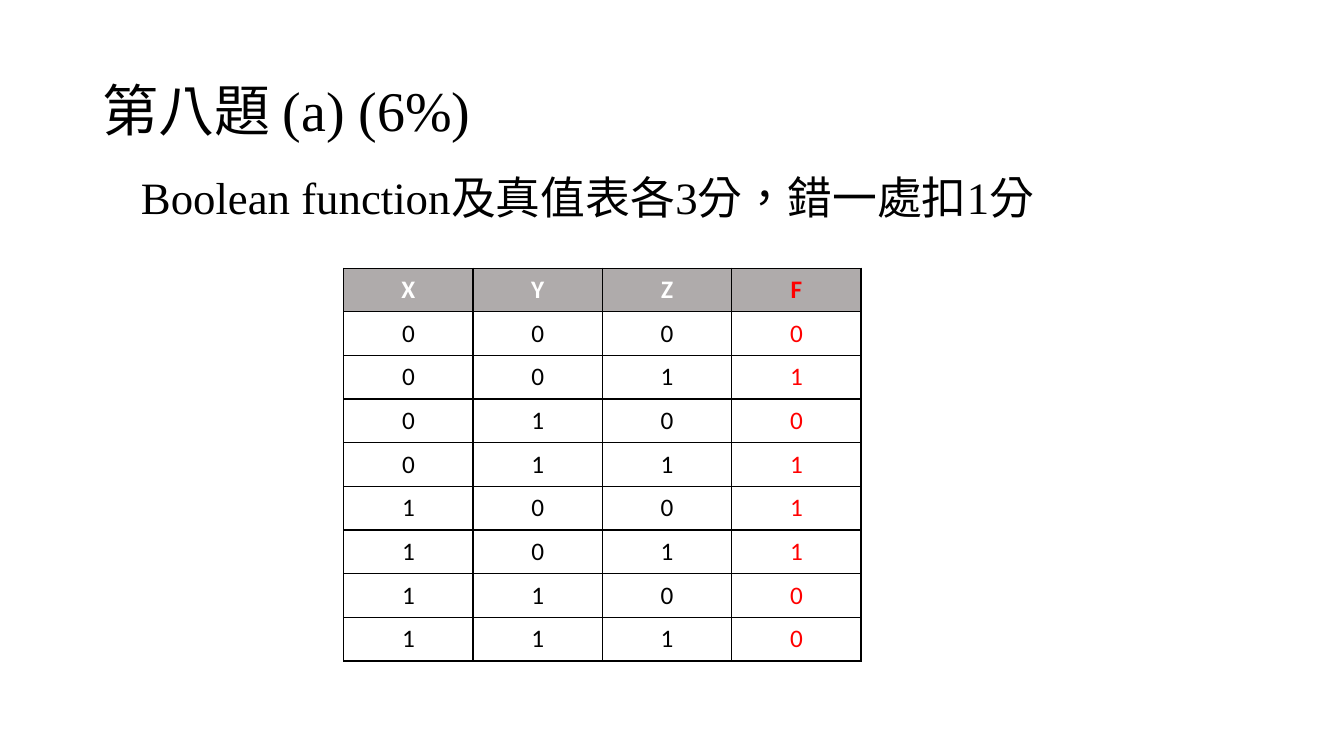
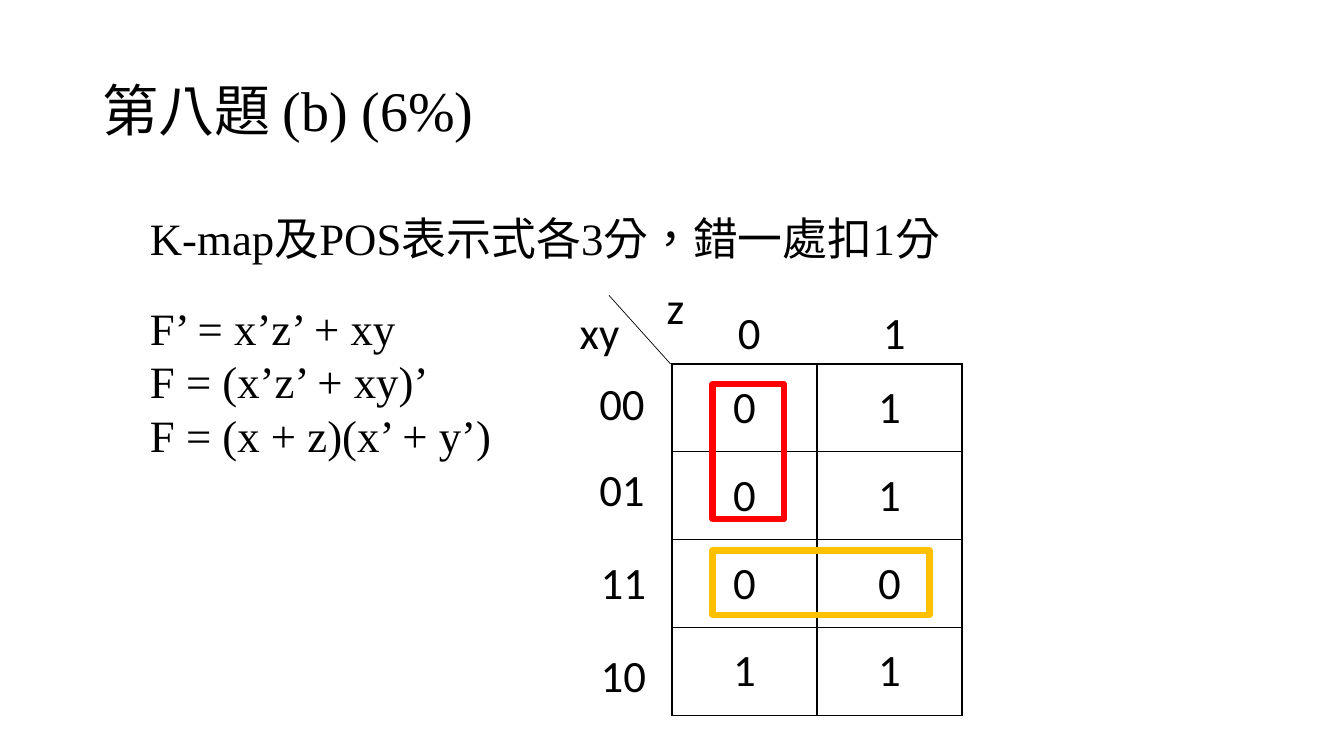
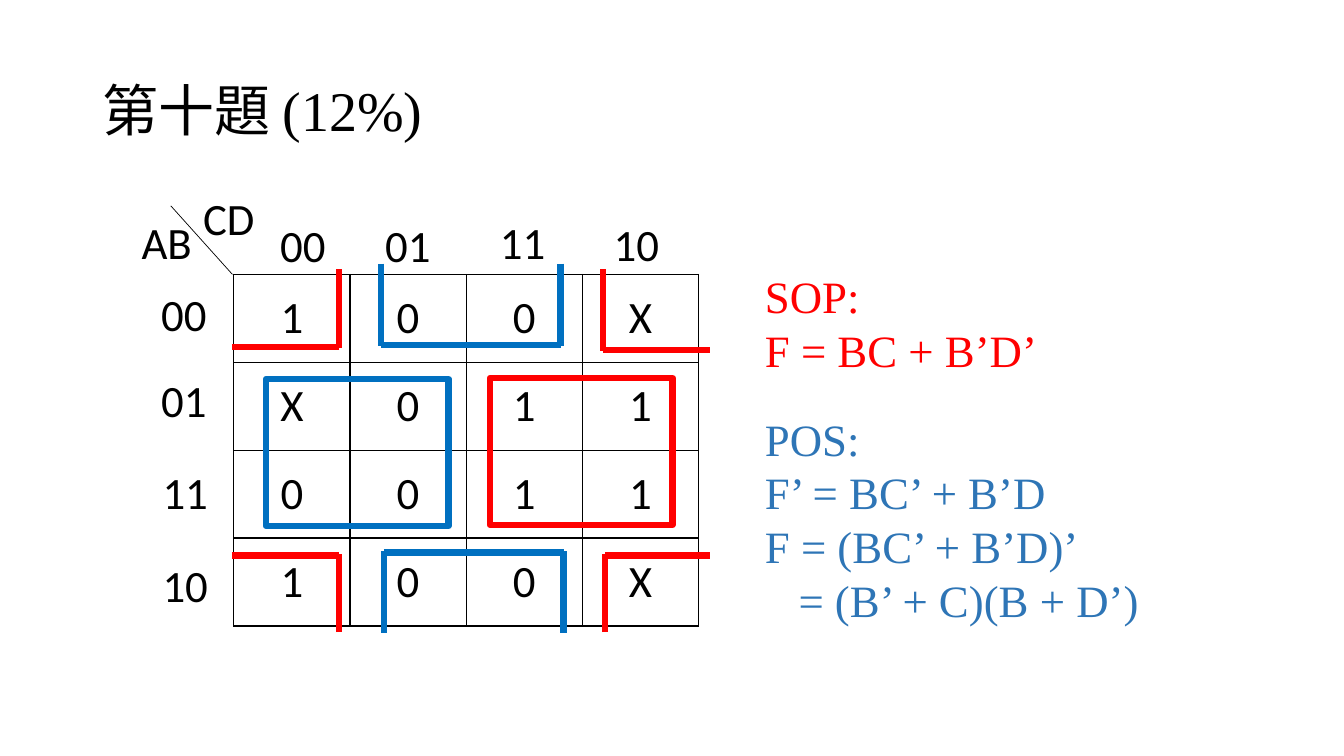
from dataclasses import dataclass

from lxml.etree import SubElement
from pptx import Presentation
from pptx.dml.color import RGBColor
from pptx.enum.shapes import MSO_CONNECTOR, MSO_SHAPE
from pptx.enum.text import MSO_ANCHOR, PP_ALIGN
from pptx.oxml.ns import qn
from pptx.util import Pt


@dataclass(frozen=True)
class Theme:
    black: str = "000000"
    white: str = "FFFFFF"
    grey: str = "AFABAB"
    red: str = "FF0000"
    gold: str = "FFC000"
    blue: str = "0070C0"
    steel: str = "2E75B6"
    serif: str = "Times New Roman"
    sans: str = "Calibri"
    cjk: str = "Noto Sans CJK SC"
    title: int = 40
    body: int = 32
    cell: int = 18
    hairline: float = 0.5
    border: float = 1
    loop: float = 4.5


T = Theme()

TITLES = [("第八題 ", "(a) (6%)"), ("第八題 ", "(b) (6%)"), ("第十題 ", "(12%)")]

TRUTH_HEADER = "XYZF"
TRUTH_OUTPUT = "01011100"
TRUTH_ROWS = [TRUTH_HEADER] + [f"{i:03b}{f}" for i, f in enumerate(TRUTH_OUTPUT)]

NOTES = [
    [(93.6, 117.4, 672.5, ["Boolean function及真值表各3分，錯一處扣1分"], T.black)],
    [
        (100, 147, 672.5, ["K-map及POS表示式各3分，錯一處扣1分"], T.black),
        (100, 211, 672.5, ["F’ = x’z’ + xy", "F = (x’z’ + xy)’", "F = (x + z)(x’ + y’)"], T.black),
    ],
    [
        (539.3, 188.6, 281.5, ["SOP:", "F = BC + B’D’"], T.red),
        (539.3, 290.2, 281.5, ["POS:", "F’ = BC’ + B’D", "F = (BC’ + B’D)’", "= (B’ + C)(B + D’)"], T.steel),
    ],
]

ROW_LABELS = [("00", -59, 5), ("01", -59, 66.5), ("11", -58, 132.5), ("10", -58, 199)]
KMAP_ROW = 62.8
KMAPS = {
    1: dict(
        at=(480, 260), col=103.6, rows=["01", "01", "00", "11"],
        labels=[("xy", -73, -46), ("z", -11, -63.5), ("0", 40, -46), ("1", 143.5, -46)],
        loops=[(509, 274.3, 51, 96.5, T.red), (509, 393.1, 155, 46, T.gold)],
        brackets=[],
    ),
    2: dict(
        at=(167, 196), col=83, rows=["100X", "X011", "0011", "100X"],
        labels=[("AB", -73, -46), ("CD", -29, -63), ("00", 26, -44), ("01", 101, -44),
                ("11", 183, -46), ("10", 264.3, -45)],
        loops=[(350, 270, 130.5, 105, T.red), (190, 270.7, 130.5, 105, T.blue)],
        brackets=[
            (165.6, 242, 247.7, 192.2, [242], T.red),
            (507, 430.6, 250, 192.2, [430.6], T.red),
            (165.6, 242, 396.7, 451.5, [242], T.red),
            (507, 432, 396.7, 451.5, [432], T.red),
            (272.2, 401, 246.2, 188.3, [272.2, 400.3], T.blue),
            (274.3, 403, 394.6, 451.8, [274.3, 402.5], T.blue),
        ],
    ),
}


def rgb(value):
    return RGBColor.from_string(value)


def add_run(p, text, font, size, color, bold=False):
    r = p.add_run()
    r.text = text
    for name, value in dict(name=font, size=Pt(size), bold=bold).items():
        setattr(r.font, name, value)
    r.font.color.rgb = rgb(color)
    rpr = r.font._element
    rpr.set("lang", "zh-TW")
    SubElement(rpr, qn("a:ea")).set("typeface", T.cjk)


def add_box(s, x, y, w, h):
    tf = s.shapes.add_textbox(Pt(x), Pt(y), Pt(w), Pt(h)).text_frame
    tf.word_wrap = True
    return tf


def add_text(s, x, y, w, lines, color, font):
    tf = add_box(s, x, y, w, 7.2 + 39 * len(lines))
    for i, line in enumerate(lines):
        p = tf.paragraphs[0] if i == 0 else tf.add_paragraph()
        if line.startswith("="):
            p._p.get_or_add_pPr().set("indent", str(Pt(24)))
        add_run(p, line, font, T.body, color)


def add_title(s, parts):
    tf = add_box(s, 66, 28.8, 828, 104.4)
    tf.vertical_anchor = MSO_ANCHOR.MIDDLE
    p = tf.paragraphs[0]
    p.line_spacing = 0.9
    for text, font in zip(parts, (T.cjk, T.serif)):
        add_run(p, text, font, T.title, T.black)


def add_line(shapes, start, end, color, width):
    c = shapes.add_connector(MSO_CONNECTOR.STRAIGHT, *map(Pt, start + end))
    c.line.color.rgb = rgb(color)
    c.line.width = Pt(width)
    SubElement(c._element.spPr, qn("a:effectLst"))


def add_borders(cell):
    tcpr = cell._tc.get_or_add_tcPr()
    for i, side in enumerate(("lnL", "lnR", "lnT", "lnB")):
        ln = tcpr.makeelement(qn(f"a:{side}"), {"w": str(Pt(T.border))})
        fill = SubElement(ln, qn("a:solidFill"))
        SubElement(fill, qn("a:srgbClr")).set("val", T.black)
        tcpr.insert(i, ln)


def add_grid(s, x, y, col, row, rows, size, header=False, output=None):
    n = len(rows[0])
    frame = s.shapes.add_table(len(rows), n, Pt(x), Pt(y), Pt(col * n), Pt(row * len(rows)))
    table = frame.table
    table.first_row = table.horz_banding = False
    for c in table.columns:
        c.width = Pt(col)
    for i, values in enumerate(rows):
        table.rows[i].height = Pt(row)
        head = header and i == 0
        for j, value in enumerate(values):
            cell = table.cell(i, j)
            cell.vertical_anchor = MSO_ANCHOR.MIDDLE
            if head:
                cell.fill.solid()
                cell.fill.fore_color.rgb = rgb(T.grey)
            else:
                cell.fill.background()
            add_borders(cell)
            p = cell.text_frame.paragraphs[0]
            p.alignment = PP_ALIGN.CENTER
            color = T.red if j == output else T.white if head else T.black
            add_run(p, value, T.sans, size, color, head)


def add_loop(s, x, y, w, h, color):
    sp = s.shapes.add_shape(MSO_SHAPE.RECTANGLE, Pt(x), Pt(y), Pt(w), Pt(h))
    sp.shadow.inherit = False
    sp.fill.background()
    sp.line.color.rgb = rgb(color)
    sp.line.width = Pt(T.loop)


def add_bracket(s, x1, x2, y, y_open, posts, color):
    shapes = s.shapes.add_group_shape().shapes
    add_line(shapes, (x1, y), (x2, y), color, T.loop)
    overlap = 1 if y > y_open else -1
    for x in posts:
        add_line(shapes, (x, y_open), (x, y + overlap), color, T.loop)


def add_kmap(s, at, col, rows, labels, loops, brackets):
    x, y = at
    add_line(s.shapes, (x - 45, y - 49), (x - 1, y), T.black, T.hairline)
    add_grid(s, x, y, col, KMAP_ROW, rows, T.body)
    for text, dx, dy in labels + ROW_LABELS:
        add_text(s, x + dx, y + dy, 58.3, [text], T.black, T.sans)
    for loop in loops:
        add_loop(s, *loop)
    for bracket in brackets:
        add_bracket(s, *bracket)


def main():
    prs = Presentation()
    prs.slide_width, prs.slide_height = Pt(960), Pt(540)
    for i, (title, notes) in enumerate(zip(TITLES, NOTES)):
        s = prs.slides.add_slide(prs.slide_layouts[6])
        add_title(s, title)
        for x, y, w, lines, color in notes:
            add_text(s, x, y, w, lines, color, T.serif)
        if i in KMAPS:
            add_kmap(s, **KMAPS[i])
        else:
            add_grid(s, 245.5, 191.5, 92.4, 31.2, TRUTH_ROWS, T.cell, header=True, output=3)
    prs.save("out.pptx")


if __name__ == "__main__":
    main()
